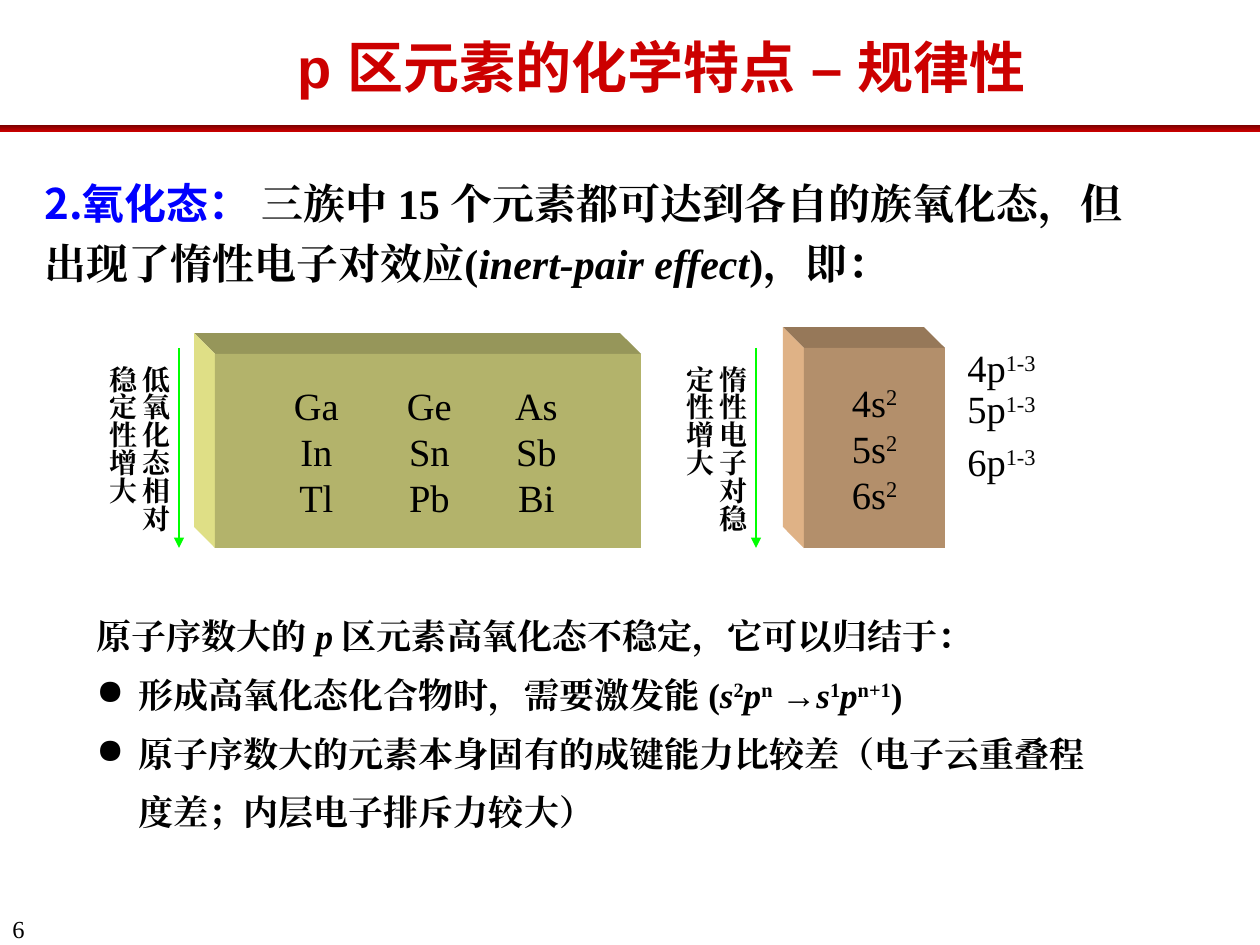
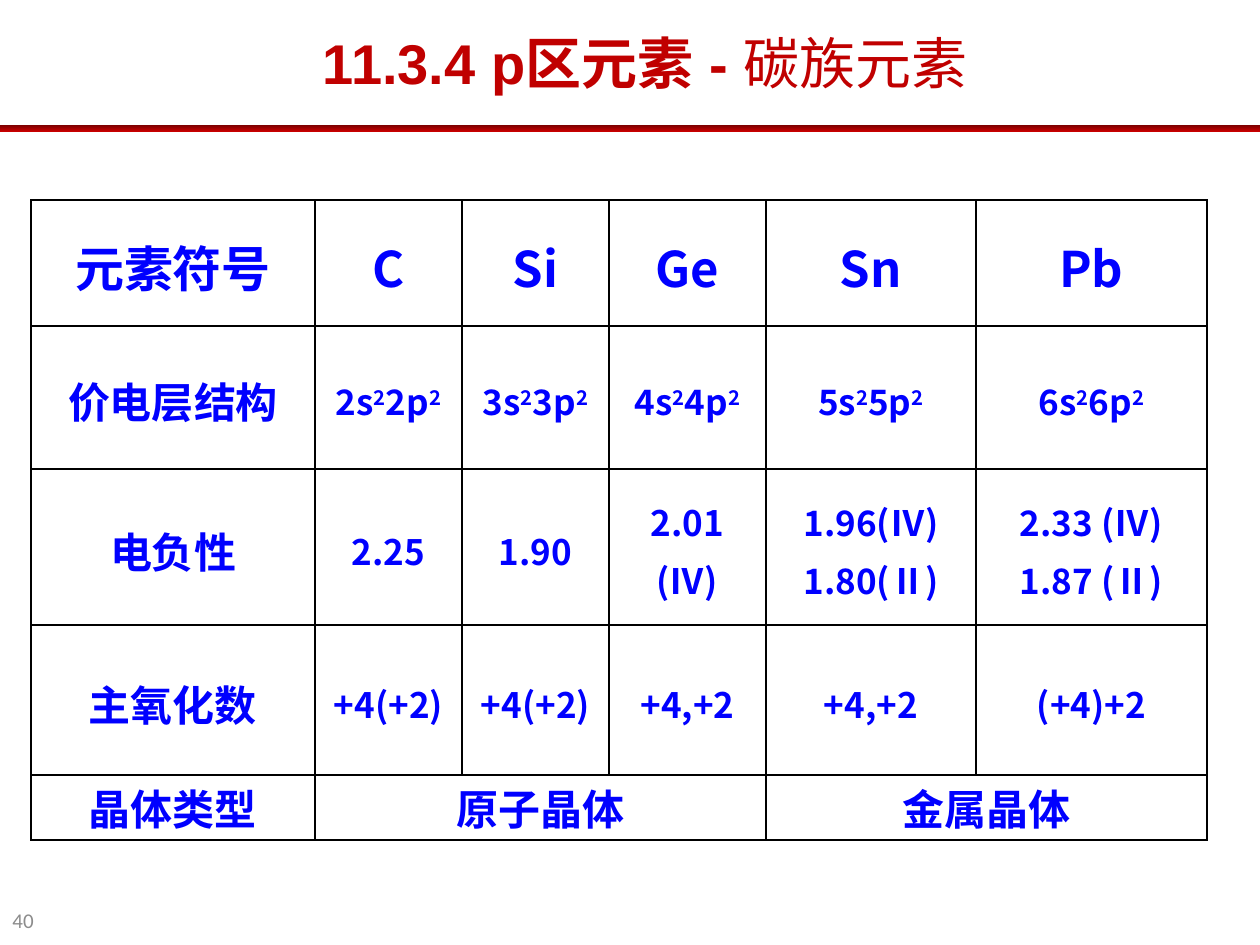
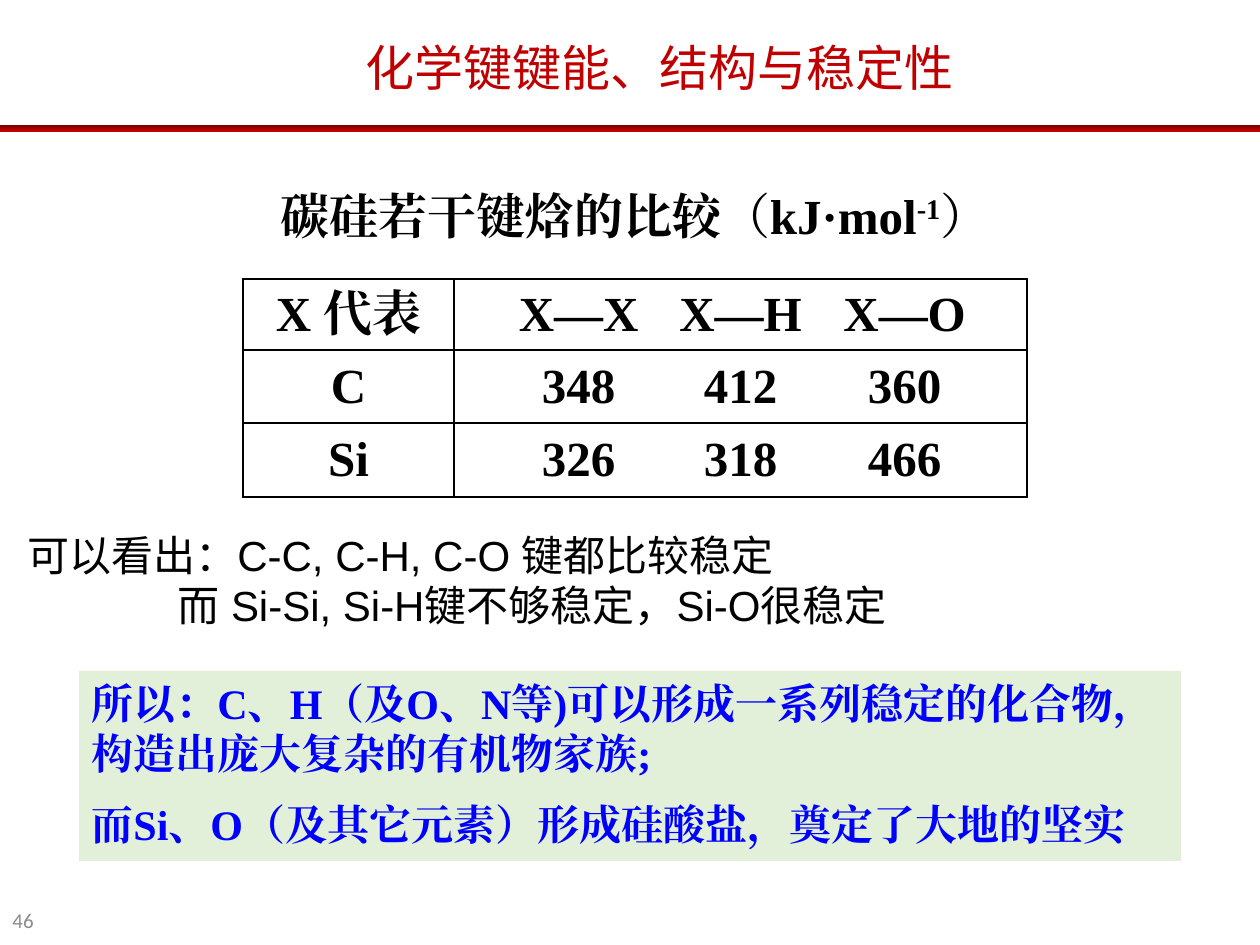
from dataclasses import dataclass, replace

from lxml import etree
from pptx import Presentation
from pptx.dml.color import RGBColor
from pptx.enum.shapes import MSO_CONNECTOR, MSO_SHAPE
from pptx.enum.text import MSO_ANCHOR, PP_ALIGN
from pptx.oxml.ns import qn
from pptx.util import Pt

LEFT, CENTER = PP_ALIGN.LEFT, PP_ALIGN.CENTER
TOP, MIDDLE = MSO_ANCHOR.TOP, MSO_ANCHOR.MIDDLE
RECTANGLE, STRAIGHT = MSO_SHAPE.RECTANGLE, MSO_CONNECTOR.STRAIGHT
BLANK = 6
SERIF, SANS, CJK, PLAIN = "Times New Roman", "Arial", "Noto Sans CJK SC", "Calibri"
BLACK, BLUE, RED, DARK_RED = "000000", "0000FF", "CC0000", "C00000"
GREEN, GREY, PALE_GREEN, BAND_TOP = "00FF00", "8C8C8C", "E2F0D9", "790000"
OLIVE, TAN = ("B3B36B", "96965A", "DFDF86"), ("B38F6B", "967859", "DFB286")


@dataclass
class Face:
    """Typeface settings of a paragraph."""
    name: str
    size: int
    color: str = BLACK
    bold: bool = False


@dataclass
class Para:
    """Spans of one paragraph with its layout."""
    spans: list
    align: PP_ALIGN = LEFT
    line: float = 1.0
    before: float = 0
    indent: int = 0
    bullet: str = ""
    tabs: tuple = ()


def px(value):
    """Turn page pixels into EMU."""
    return round(value * 914400 / 126)


def rgb(value):
    """Turn a hex string into a colour."""
    return RGBColor.from_string(value)


def sup(text):
    """Make a superscript span."""
    return text, {"raised": True}


def italic(text):
    """Make an italic span."""
    return text, {"italic": True}


def add_child(parent, tag, **attributes):
    """Append a drawing element to its parent."""
    child = etree.SubElement(parent, qn(tag))
    for name, value in attributes.items():
        child.set(name, str(value))
    return child


def style_font(font, properties, name, color):
    """Set the colour and both script faces of a font."""
    font.color.rgb = rgb(color)
    font.name = name
    add_child(properties, "a:ea", typeface=name)


def add_span(target, span):
    """Add one run with its differences from the paragraph."""
    text, changes = (span, {}) if isinstance(span, str) else span
    run = target.add_run()
    run.text = text
    if changes.get("raised"):
        run._r.get_or_add_rPr().set("baseline", "30000")
    if "italic" in changes:
        run.font.italic = changes["italic"]
    if "bold" in changes:
        run.font.bold = changes["bold"]
    if "name" in changes:
        style_font(run.font, run._r.get_or_add_rPr(), changes["name"], changes["color"])


def write(frame, paras, face):
    """Write paragraphs in one face into a text frame."""
    for index, para in enumerate(paras):
        target = frame.add_paragraph() if index else frame.paragraphs[0]
        properties = target._p.get_or_add_pPr()
        if para.indent:
            properties.set("marL", str(px(para.indent)))
        if para.bullet:
            properties.set("indent", str(-px(para.indent)))
            add_child(properties, "a:buChar", char=para.bullet)
        if para.tabs:
            stops = add_child(properties, "a:tabLst")
            for stop in para.tabs:
                add_child(stops, "a:tab", pos=px(stop), algn="ctr")
        target.alignment = para.align
        target.line_spacing = para.line
        target.space_before = Pt(para.before)
        target.font.size = Pt(face.size)
        target.font.bold = face.bold
        style_font(target.font, properties.find(qn("a:defRPr")), face.name, face.color)
        for span in para.spans:
            add_span(target, span)


def add_text(page, box, paras, face, anchor=TOP, vertical=False):
    """Add a wrapping text box."""
    frame = page.shapes.add_textbox(*map(px, box)).text_frame
    frame.word_wrap = True
    frame.vertical_anchor = anchor
    if vertical:
        frame._txBody.bodyPr.set("vert", "eaVert")
    write(frame, paras, face)


def finish(shape, color):
    """Give a shape a flat fill without line or shadow."""
    shape.shadow.inherit = False
    shape.line.fill.background()
    shape.fill.solid()
    shape.fill.fore_color.rgb = rgb(color)


def add_panel(page, box, color, paras, face, anchor):
    """Add a filled rectangle holding text."""
    panel = page.shapes.add_shape(RECTANGLE, *map(px, box))
    finish(panel, color)
    panel.text_frame.word_wrap = True
    panel.text_frame.vertical_anchor = anchor
    write(panel.text_frame, paras, face)


def add_block(page, box, colors, paras, face, depth=21):
    """Add a solid block with a front, a top and a left side."""
    left, top, width, height = box
    front, lid, side = colors
    right, bottom = left + width, top + height
    outlines = (
        (lid, [(left, top), (right, top), (right - depth, top - depth), (left - depth, top - depth)]),
        (side, [(left, top), (left, bottom), (left - depth, bottom - depth), (left - depth, top - depth)]),
    )
    for color, points in outlines:
        corners = [(px(x), px(y)) for x, y in points]
        builder = page.shapes.build_freeform(*corners[0])
        builder.add_line_segments(corners[1:], close=True)
        finish(builder.convert_to_shape(), color)
    add_panel(page, box, front, paras, face, MIDDLE)


def add_trend(page, box, text):
    """Add vertical text with a downward arrow at its right."""
    left, top, width, height = box
    add_text(page, box, [Para([text])], Face(SERIF, 16, BLACK, True), vertical=True)
    x = px(left + width)
    arrow = page.shapes.add_connector(STRAIGHT, x, px(top - 5), x, px(top + height - 10))
    arrow.line.color.rgb = rgb(GREEN)
    arrow.line.width = Pt(1.5)
    add_child(arrow.line._get_or_add_ln(), "a:tailEnd", type="triangle")
    add_child(arrow._element.spPr, "a:effectLst")


def add_page(deck, title_box, title, face, line, number, number_box, number_face):
    """Add a page with its title, red band and number."""
    page = deck.slides.add_slide(deck.slide_layouts[BLANK])
    add_text(page, title_box, [Para(title, CENTER, line)], face, MIDDLE)
    band = page.shapes.add_shape(RECTANGLE, 0, px(125), px(1260), px(7))
    finish(band, RED)
    band.fill.gradient()
    band.fill.gradient_angle = 270
    for stop, color in zip(band.fill.gradient_stops, (BAND_TOP, RED)):
        stop.color.rgb = rgb(color)
    add_text(page, number_box, [Para([number])], number_face, MIDDLE)
    return page


def add_grid(page, left, top, columns, rows):
    """Add an unfilled table with black borders."""
    box = left, top, sum(columns), sum(rows)
    table = page.shapes.add_table(len(rows), len(columns), *map(px, box)).table
    table.first_row = table.horz_banding = False
    for column, width in zip(table.columns, columns):
        column.width = px(width)
    for row, height in zip(table.rows, rows):
        row.height = px(height)
    for cell in table.iter_cells():
        cell.margin_top = cell.margin_bottom = 0
        cell.vertical_anchor = MIDDLE
        properties = cell._tc.get_or_add_tcPr()
        for side in ("a:lnL", "a:lnR", "a:lnT", "a:lnB"):
            border = add_child(properties, side, w=Pt(1))
            add_child(add_child(border, "a:solidFill"), "a:srgbClr", val=BLACK)
        cell.fill.background()
    return table


def build_oxidation(deck):
    """Build the page on oxidation states."""
    page = add_page(deck, (228, 26, 868, 80), ["p 区元素的化学特点 – 规律性"],
                    Face(SANS, 32, RED, True), 1.0, "6", (0, 912, 77, 33), Face(SERIF, 14))
    heading = ("2.氧化态：", {"name": CJK, "color": BLUE})
    add_text(page, (32, 161, 1134, 135), [Para([
        heading, " 三族中 15 个元素都可达到各自的族氧化态，但出现了惰性电子对效应(",
        italic("inert-pair effect"), ")，即："], line=1.2)], Face(SERIF, 24, BLACK, True))

    label = Face(SERIF, 22)
    elements = (("Ga", "Ge", "As"), ("In", "Sn", "Sb"), ("Tl", "Pb", "Bi"))
    add_block(page, (215, 354, 426, 194), OLIVE,
              [Para(["\t" + "\t".join(row)], tabs=(89, 202, 309)) for row in elements], label)
    add_trend(page, (86, 353, 93, 205), "低氧化态相对稳定性增大")
    add_block(page, (804, 348, 141, 200), TAN,
              [Para([f"{shell}s", sup("2")], CENTER) for shell in (4, 5, 6)], label)
    add_trend(page, (663, 353, 93, 205), "惰性电子对稳定性增大")
    for shell, top in ((4, 338), (5, 379), (6, 432)):
        add_text(page, (955, top, 98, 59), [Para([f"{shell}p", sup("1-3")])], label)

    excitation = ["形成高氧化态化合物时，需要激发能 (", italic("s"), sup("2"), italic("p"), sup("n"),
                  " →", italic("s"), sup("1"), italic("p"), sup("n+1"), ")"]
    bonding = ["原子序数大的元素本身固有的成键能力比较差（电子云重叠程度差；内层电子排斥力较大）"]
    reasons = [Para(spans, line=1.4, indent=42, bullet="●") for spans in (excitation, bonding)]
    opening = Para(["原子序数大的 ", italic("p "), "区元素高氧化态不稳定，它可以归结于："], line=1.2)
    add_text(page, (84, 600, 1040, 239), [opening, *reasons], Face(SERIF, 20, BLACK, True))


def build_carbon_group(deck):
    """Build the page with the table of the carbon group."""
    page = add_page(deck, (273, 16, 745, 100), ["11.3.4 p区元素 - ", ("碳族元素", {"bold": False})],
                    Face(SANS, 32, DARK_RED, True), 0.9, "40", (0, 893, 58, 54),
                    Face(PLAIN, 12, GREY))
    table = add_grid(page, 31, 200, (284, 147, 147, 157, 210, 231), (126, 143, 156, 150, 65))
    shells = [[f"{shell}s", sup("2"), f"{shell}p", sup("2")] for shell in range(2, 7)]
    rows = (
        ("元素符号", "C", "Si", "Ge", "Sn", "Pb"),
        ("价电层结构", *shells),
        ("电负性", "2.25", "1.90", "2.01\n(Ⅳ)", "1.96(Ⅳ)\n1.80(Ⅱ)", "2.33 (Ⅳ)\n1.87 (Ⅱ)"),
        ("主氧化数", "+4(+2)", "+4(+2)", "+4,+2", "+4,+2", "(+4)+2"),
        ("晶体类型", "原子晶体", "", "", "金属晶体", ""),
    )
    for first, last in ((1, 3), (4, 5)):
        table.cell(4, first).merge(table.cell(4, last))
    face = Face(CJK, 20, BLUE, True)
    for row, values in enumerate(rows):
        for column, value in enumerate(values):
            if not value:
                continue
            cell = table.cell(row, column)
            cell.margin_top = px(6 if row < 4 else 0)
            size = 28 if row == 0 else 24 if column == 0 or row == 4 else 20
            lines = [[text] for text in value.split("\n")] if isinstance(value, str) else [value]
            paras = [Para(spans, CENTER, before=4 * (index > 0)) for index, spans in enumerate(lines)]
            write(cell.text_frame, paras, replace(face, size=size))


def build_bond_energy(deck):
    """Build the page comparing bond enthalpies."""
    page = add_page(deck, (292, 26, 735, 90), ["化学键键能、结构与稳定性"],
                    Face(PLAIN, 28, DARK_RED), 0.9, "46", (0, 893, 58, 54), Face(PLAIN, 12, GREY))
    face = Face(SERIF, 28, BLACK, True)
    thin = {"bold": False}
    add_text(page, (174, 179, 922, 72), [Para(
        ["碳硅若干键焓的比较", ("（", thin), "kJ·mol", sup("-1"), ("）", thin)], CENTER)], face, MIDDLE)

    table = add_grid(page, 243, 279, (211, 573), (71, 73, 74))
    rows = (("X 代表", "X—X", "X—H", "X—O"), ("C", "348", "412", "360"), ("Si", "326", "318", "466"))
    for row, (name, *values) in enumerate(rows):
        write(table.cell(row, 0).text_frame, [Para([name], CENTER)], face)
        write(table.cell(row, 1).text_frame,
              [Para(["\t" + "\t".join(values)], tabs=(112, 274, 438))], face)

    add_text(page, (15, 523, 1235, 115), [
        Para(["可以看出：C-C, C-H, C-O 键都比较稳定"]),
        Para(["而 Si-Si, Si-H键不够稳定，Si-O很稳定"], indent=150)], Face(SANS, 24))
    add_panel(page, (79, 671, 1102, 190), PALE_GREEN, [
        Para(["所以：C、H（及O、N等)可以形成一系列稳定的化合物，构造出庞大复杂的有机物家族;"]),
        Para(["而Si、O（及其它元素）形成硅酸盐，奠定了大地的坚实"], before=12)],
        Face(SERIF, 24, BLUE, True), TOP)


def main():
    """Build and save the deck."""
    deck = Presentation()
    deck.slide_width, deck.slide_height = px(1260), px(945)
    build_oxidation(deck)
    build_carbon_group(deck)
    build_bond_energy(deck)
    deck.save("out.pptx")


if __name__ == "__main__":
    main()
